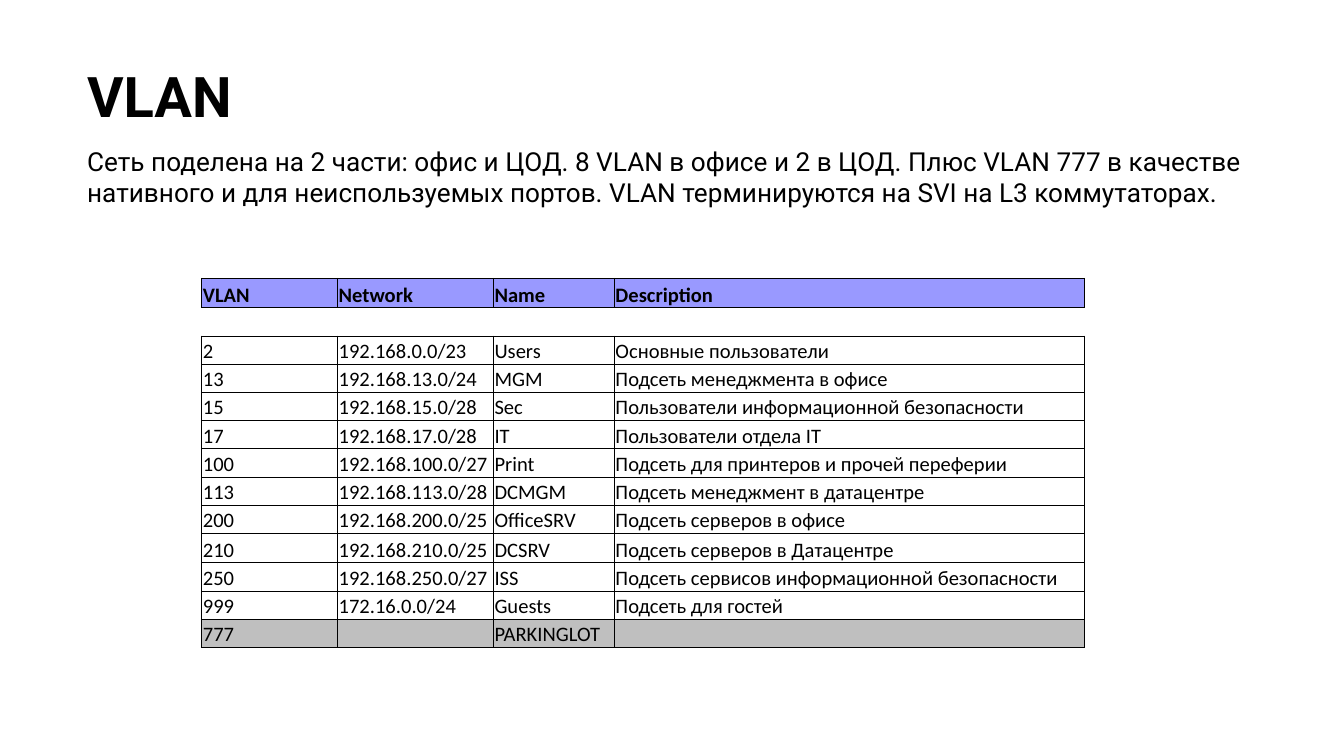
"""Build a slide that lists the VLANs of an office and a data centre."""
from dataclasses import dataclass

from lxml.etree import SubElement
from pptx import Presentation
from pptx.dml.color import RGBColor
from pptx.enum.text import MSO_ANCHOR
from pptx.oxml.ns import qn
from pptx.slide import Slide
from pptx.table import _Cell
from pptx.util import Inches, Pt

WIDE = 10
HIGH = WIDE * 9 / 16
HUES = {"ink": "000000", "head": "9999FF", "spare": "BFBFBF"}
COLS = (1.01, 1.16, 0.9, 3.5)
TALL = {0, 9}
ROWS = (
    ("VLAN", "Network", "Name", "Description"),
    ("", "", "", ""),
    ("2", "192.168.0.0/23", "Users", "Основные пользователи"),
    ("13", "192.168.13.0/24", "MGM", "Подсеть менеджмента в офисе"),
    ("15", "192.168.15.0/28", "Sec", "Пользователи информационной безопасности"),
    ("17", "192.168.17.0/28", "IT", "Пользователи отдела IT"),
    ("100", "192.168.100.0/27", "Print", "Подсеть для принтеров и прочей переферии"),
    ("113", "192.168.113.0/28", "DCMGM", "Подсеть менеджмент в датацентре"),
    ("200", "192.168.200.0/25", "OfficeSRV", "Подсеть серверов в офисе"),
    ("210", "192.168.210.0/25", "DCSRV", "Подсеть серверов в Датацентре"),
    ("250", "192.168.250.0/27", "ISS", "Подсеть сервисов информационной безопасности"),
    ("999", "172.16.0.0/24", "Guests", "Подсеть для гостей"),
    ("777", "", "PARKINGLOT", ""),
)
GAP, LAST = 1, len(ROWS) - 1
FILLS = {0: "head", LAST: "spare"}


@dataclass(frozen=True)
class Block:
    text: str
    top: float
    width: float
    height: float
    size: int
    bold: bool
    inset: float


BLOCKS = (
    Block("VLAN", 0.36, 9.32, 0.66, 30, True, 0.1),
    Block(
        "Сеть поделена на 2 части: офис и ЦОД. 8 VLAN в офисе и 2 в ЦОД. "
        "Плюс VLAN 777 в качестве нативного и для неиспользуемых портов. "
        "VLAN терминируются на SVI на L3 коммутаторах.",
        1.03, 8.82, 0.57, 14, False, 0.05,
    ),
)


def style(para, face: str, size: int, bold: bool) -> None:
    font = para.font
    font.name, font.size, font.bold = face, Pt(size), bold
    font.color.rgb = RGBColor.from_string(HUES["ink"])


def draw_block(slide: Slide, block: Block) -> None:
    box = slide.shapes.add_textbox(
        Inches(0.055 * WIDE), Inches(block.top), Inches(block.width), Inches(block.height)
    )
    frame = box.text_frame
    frame.word_wrap = True
    frame.margin_left = frame.margin_right = Inches(0.1)
    frame.margin_top = frame.margin_bottom = Inches(block.inset)
    frame.text = block.text
    style(frame.paragraphs[0], "Roboto", block.size, block.bold)


def rule_cell(cell: _Cell, sides: str) -> None:
    props = cell._tc.get_or_add_tcPr()
    for side in "LRTB":
        line = SubElement(props, qn(f"a:ln{side}"), w=str(Pt(0.5)))
        if side in sides:
            paint = SubElement(line, qn("a:solidFill"))
            SubElement(paint, qn("a:srgbClr"), val=HUES["ink"])
        else:
            SubElement(line, qn("a:noFill"))


def draw_cell(cell: _Cell, text: str, row: int) -> None:
    rule_cell(cell, "TB" if row == GAP else "LRTB")
    if row in FILLS:
        cell.fill.solid()
        cell.fill.fore_color.rgb = RGBColor.from_string(HUES[FILLS[row]])
    else:
        cell.fill.background()
    cell.margin_left = cell.margin_right = cell.margin_top = Inches(0.01)
    cell.margin_bottom = 0
    cell.vertical_anchor = MSO_ANCHOR.BOTTOM
    para = cell.text_frame.paragraphs[0]
    if text:
        para.text = text
    else:
        SubElement(para._p, qn("a:endParaRPr"), sz="1100")
    style(para, "Calibri", 11, row == 0)


def draw_table(slide: Slide) -> None:
    highs = [0.22 if row in TALL else 0.21 for row in range(len(ROWS))]
    frame = slide.shapes.add_table(
        len(ROWS), len(COLS), Inches(0.15 * WIDE), Inches(2.07),
        Inches(sum(COLS)), Inches(sum(highs)),
    )
    table = frame.table
    table.first_row = table.horz_banding = False
    for col, width in zip(table.columns, COLS):
        col.width = Inches(width)
    for row, high in zip(table.rows, highs):
        row.height = Inches(high)
    for row, texts in enumerate(ROWS):
        for col, text in enumerate(texts):
            draw_cell(table.cell(row, col), text, row)
    table.cell(GAP, 0).merge(table.cell(GAP, len(COLS) - 1))


def main() -> None:
    deck = Presentation()
    deck.slide_width, deck.slide_height = Inches(WIDE), Inches(HIGH)
    slide = deck.slides.add_slide(deck.slide_layouts[6])
    for block in BLOCKS:
        draw_block(slide, block)
    draw_table(slide)
    deck.save("out.pptx")


if __name__ == "__main__":
    main()
